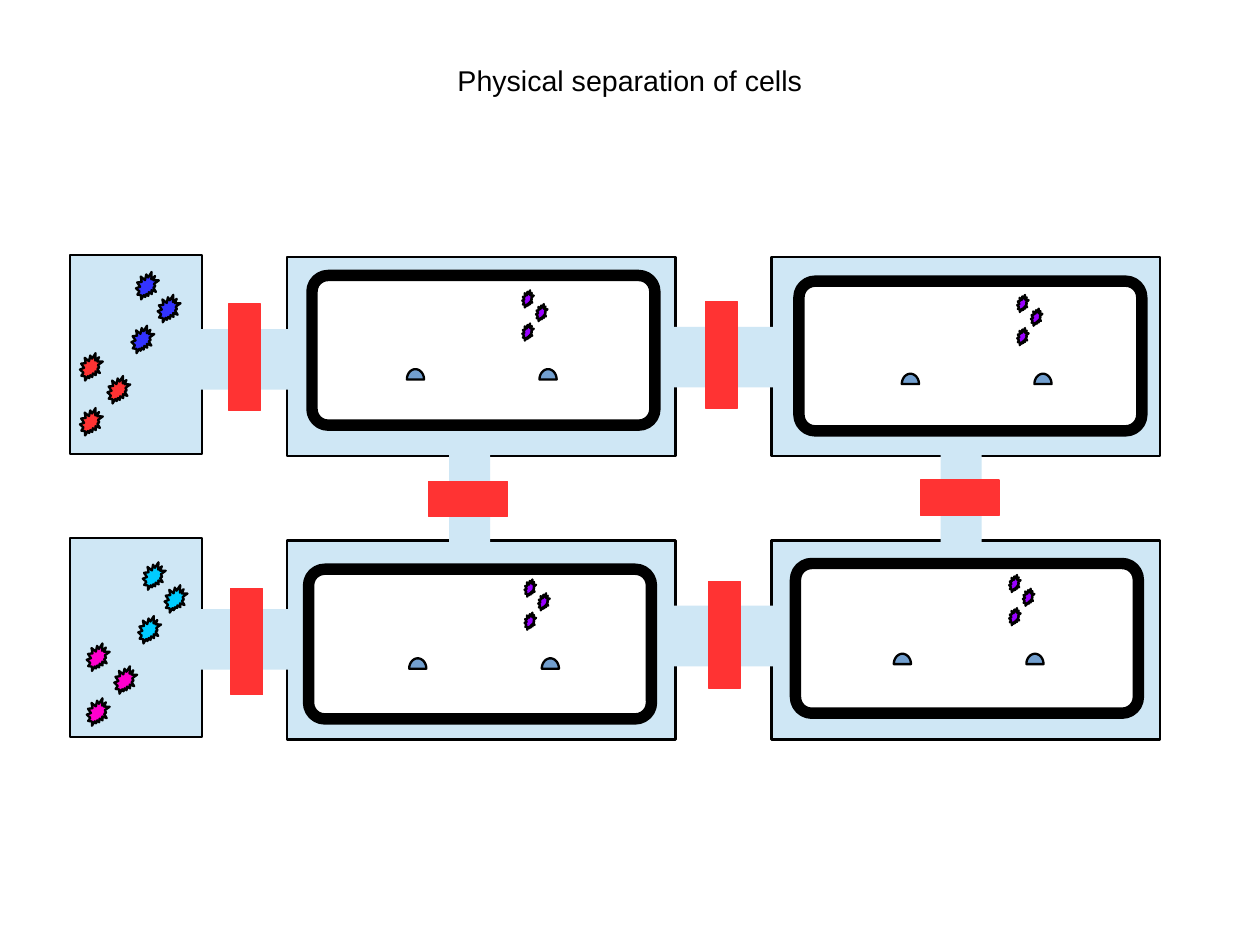
from math import cos, pi, sin

from pptx import Presentation
from pptx import util as u
from pptx.dml.color import RGBColor
from pptx.enum import shapes, text

WATER = RGBColor(0xCF, 0xE7, 0xF5)
BLACK = RGBColor(0, 0, 0)
WHITE = RGBColor(0xFF, 0xFF, 0xFF)
RED = RGBColor(0xFF, 0x33, 0x33)
BLUE = RGBColor(0x33, 0x33, 0xFF)
CYAN = RGBColor(0x00, 0xCC, 0xFF)
MAGENTA = RGBColor(0xFF, 0x00, 0xCC)
PURPLE = RGBColor(0x99, 0x00, 0xFF)
DOME_BLUE = RGBColor(0x72, 0x9F, 0xCF)

RECT = shapes.MSO_SHAPE.RECTANGLE
ROUNDED = shapes.MSO_SHAPE.ROUNDED_RECTANGLE
SEAL = shapes.MSO_SHAPE.EXPLOSION2
THIN, WALL = 1.45, 7.2

CM_PER_INCH = 2.54
DOME_SIZE = (0.15, 0.09)
DOME_STEPS = 24
TITLE_FRAME = {"margin_left": 0, "margin_right": 0, "margin_top": 0, "margin_bottom": 0,
               "word_wrap": True, "auto_size": text.MSO_AUTO_SIZE.NONE,
               "vertical_anchor": text.MSO_ANCHOR.MIDDLE}
TITLE_FONT = {"name": "Arial", "size": u.Pt(18), "bold": False}


def set_format(target, values):
    for name, value in values.items():
        setattr(target, name, value)


def paint(part, fill, line=BLACK, width=THIN):
    part.shadow.inherit = False
    part.fill.solid()
    part.fill.fore_color.rgb = fill
    if line is None:
        part.line.fill.background()
    else:
        part.line.color.rgb = line
        part.line.width = u.Pt(width)
    return part


def add_preset(slide, preset, box, fill, line=BLACK, width=THIN):
    part = slide.shapes.add_shape(preset, *map(u.Inches, box))
    return paint(part, fill, line, width)


def add_dome(slide, left, top):
    """Half ellipse standing on its flat side."""
    width, height = DOME_SIZE
    angles = [pi - pi * step / DOME_STEPS for step in range(DOME_STEPS + 1)]
    outline = [(u.Inches(left + width / 2 * (1 + cos(angle))),
                u.Inches(top + height * (1 - sin(angle)))) for angle in angles]
    builder = slide.shapes.build_freeform(*outline[0])
    builder.add_line_segments(outline[1:], close=True)
    paint(builder.convert_to_shape(), DOME_BLUE)


def add_swarm(slide, left, top, offsets, size, fill):
    for dx, dy in offsets:
        add_preset(slide, SEAL, (left + dx, top + dy, *size), fill)


def add_title(slide, box):
    title = slide.shapes.title
    title.left, title.top, title.width, title.height = map(u.Inches, box)
    frame = title.text_frame
    frame.text = "Physical separation of cells"
    set_format(frame, TITLE_FRAME)
    paragraph = frame.paragraphs[0]
    paragraph.alignment = text.PP_ALIGN.CENTER
    set_format(paragraph.runs[0].font, TITLE_FONT)
    paragraph.runs[0].font.color.rgb = BLACK


def add_chamber(slide, tank, cell, content):
    """Tank of water with a walled cell, two domes and three particles."""
    add_preset(slide, RECT, tank, WATER)
    wall = add_preset(slide, ROUNDED, cell, WHITE, BLACK, WALL)
    wall.adjustments[0] = 0.108
    left, top = content
    for dx in (0, 1.16):
        add_dome(slide, left + dx, top + 0.69)
    add_swarm(slide, left, top, [(1.13, 0.12), (1.01, 0.29), (1.01, 0)],
              (0.1, 0.15), PURPLE)


def add_reservoir(slide, tank, germs, upper_fill, lower_fill):
    """Small tank holding two kinds of germs."""
    add_preset(slide, RECT, tank, WATER)
    left, top = germs
    size = (0.2, 0.24)
    add_swarm(slide, left + 0.45, top, [(0.23, 0.2), (0, 0.47), (0.04, 0)], size, upper_fill)
    add_swarm(slide, left, top + 0.71, [(0.24, 0.2), (0, 0.48), (0, 0)], size, lower_fill)


def add_valve(slide, pipe, gate):
    """Open pipe between two tanks, closed by a red gate."""
    add_preset(slide, RECT, pipe, WATER, None)
    add_preset(slide, RECT, gate, RED, RED, 0.75)


def main():
    deck = Presentation()
    deck.slide_width = u.Inches(28 / CM_PER_INCH)
    deck.slide_height = u.Inches(21 / CM_PER_INCH)
    slide = deck.slides.add_slide(deck.slide_layouts[5])
    add_title(slide, (0.55, 0.01, 9.92, 1.38))

    # Reservoirs: tank top, germ corner, germ colours
    for top, germs, upper, lower in [(2.23, (0.7, 2.38), BLUE, RED),
                                     (4.71, (0.76, 4.92), CYAN, MAGENTA)]:
        add_reservoir(slide, (0.61, top, 1.16, 1.74), germs, upper, lower)

    # Chambers: corners of tank, cell and cell content
    for tank, cell, content in [((2.51, 2.25), (2.73, 2.41), (3.56, 2.54)),
                                ((6.75, 2.25), (6.99, 2.46), (7.89, 2.58)),
                                ((2.51, 4.73), (2.7, 4.98), (3.58, 5.07)),
                                ((6.75, 4.73), (6.96, 4.93), (7.82, 5.03))]:
        add_chamber(slide, (*tank, 3.4, 1.74), (*cell, 3, 1.31), content)

    # Valves across: corners of pipe and gate
    for pipe, gate in [((1.59, 2.88), (2, 2.66)), ((5.82, 2.86), (6.17, 2.64)),
                       ((1.54, 5.33), (2.02, 5.15)), ((5.82, 5.3), (6.2, 5.09))]:
        add_valve(slide, (*pipe, 1.06, 0.53), (*gate, 0.28, 0.93))

    # Valves down
    for pipe, gate in [((3.93, 3.87), (3.75, 4.21)), ((8.23, 3.87), (8.05, 4.2))]:
        add_valve(slide, (*pipe, 0.36, 0.97), (*gate, 0.69, 0.31))

    deck.save("out.pptx")


if __name__ == "__main__":
    main()
